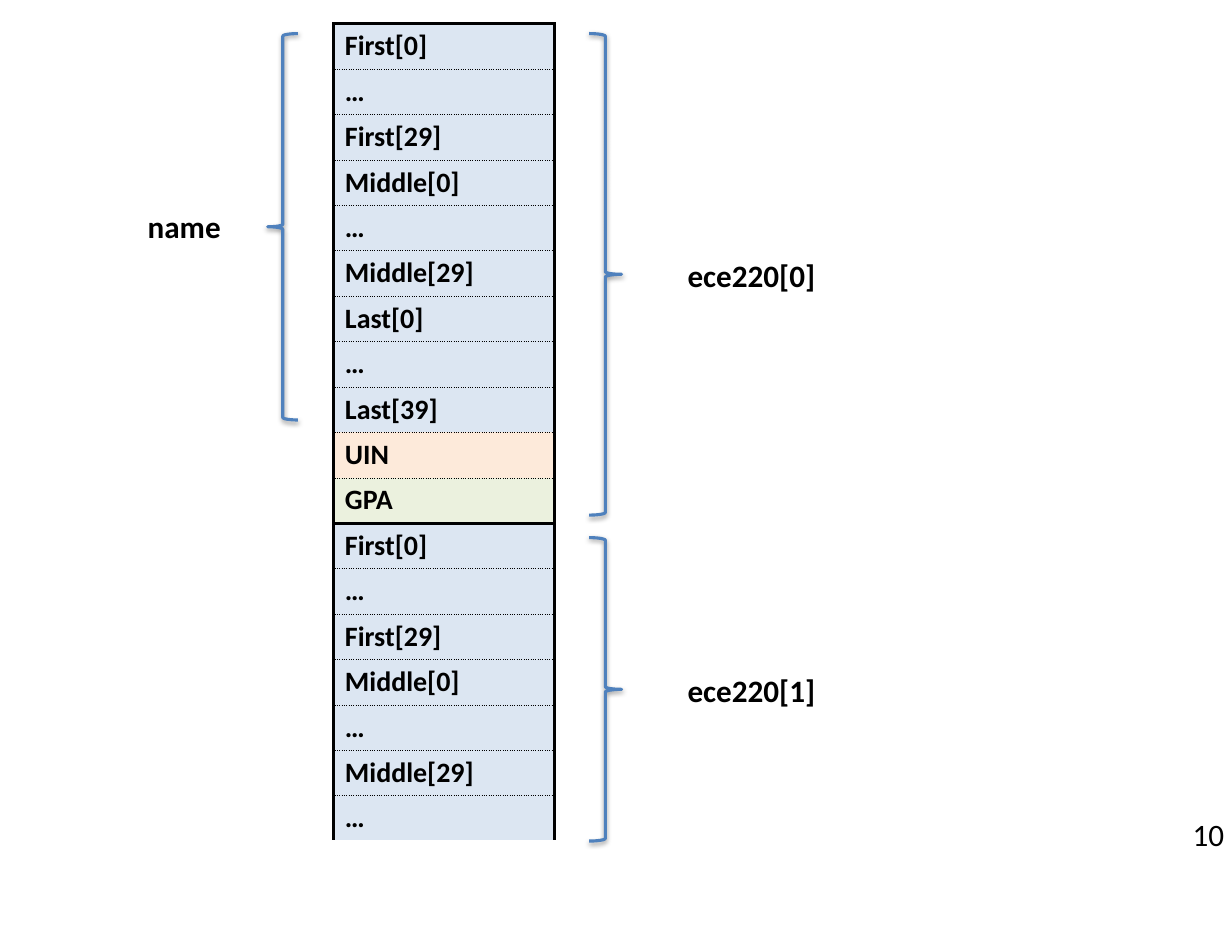
from lxml.etree import SubElement
from pptx import Presentation
from pptx.dml.color import RGBColor
from pptx.enum.shapes import MSO_SHAPE as Shape
from pptx.enum.text import MSO_ANCHOR as Anchor, MSO_AUTO_SIZE as AutoSize
from pptx.oxml import parse_xml
from pptx.oxml.ns import nsdecls, qn
from pptx.util import Inches, Pt

BLACK = RGBColor(0x00, 0x00, 0x00)
BLUE = RGBColor(0x4F, 0x81, 0xBD)
NAME_FILL = RGBColor(0xDC, 0xE6, 0xF2)
UIN_FILL = RGBColor(0xFD, 0xEA, 0xDA)
GPA_FILL = RGBColor(0xEB, 0xF1, 0xDE)
FIELD_FILLS = {"UIN": UIN_FILL, "GPA": GPA_FILL}
FONT = "Calibri"

RECORD = ["First[0]", "…", "First[29]", "Middle[0]", "…", "Middle[29]",
          "Last[0]", "…", "Last[39]", "UIN", "GPA"]
MEMORY = RECORD + RECORD[:6] + ["…"]


def format_text(text_frame, size, bold):
    for run in text_frame.paragraphs[0].runs:
        run.font.name = FONT
        run.font.size = Pt(size)
        run.font.bold = bold
        run.font.color.rgb = BLACK


def set_borders(cell, top, bottom):
    properties = cell._tc.get_or_add_tcPr()
    borders = [("L", "solid"), ("R", "solid"), ("T", top), ("B", bottom)]
    for index, (side, dash) in enumerate(borders):
        if dash is None:
            continue
        width = Pt(2.25) if dash == "solid" else Pt(0.25)
        properties.insert(index, parse_xml(
            f'<a:ln{side} {nsdecls("a")} w="{width}"><a:solidFill>'
            f'<a:srgbClr val="{BLACK}"/></a:solidFill>'
            f'<a:prstDash val="{dash}"/></a:ln{side}>'))


def add_memory_table(slide, left, top, width, height):
    count = len(MEMORY)
    frame = slide.shapes.add_table(count, 1, Inches(left), Inches(top),
                                   Inches(width), Inches(height))
    table = frame.table
    table.first_row = False
    table.horz_banding = False
    for index, field in enumerate(MEMORY):
        table.rows[index].height = Inches(height / count)
        cell = table.cell(index, 0)
        cell.text_frame.text = field
        format_text(cell.text_frame, 18, True)
        cell.fill.solid()
        cell.fill.fore_color.rgb = FIELD_FILLS.get(field, NAME_FILL)
        starts_record = index % len(RECORD) == 0
        ends_record = (index + 1) % len(RECORD) == 0
        bottom = "solid" if ends_record else "sysDot"
        set_borders(cell, "solid" if starts_record else "sysDot",
                    None if index == count - 1 else bottom)


def add_brace(slide, kind, left, top, width, height):
    brace = slide.shapes.add_shape(kind, Inches(left), Inches(top),
                                   Inches(width), Inches(height))
    brace.fill.background()
    brace.line.color.rgb = BLUE
    brace.line.width = Pt(2)
    brace.shadow.inherit = False
    effects = brace._element.spPr.find(qn("a:effectLst"))
    shadow = SubElement(effects, qn("a:outerShdw"), blurRad=str(Pt(3.1)),
                        dist=str(Pt(1.6)), dir="5400000", rotWithShape="0")
    color = SubElement(shadow, qn("a:srgbClr"), val=str(BLACK))
    SubElement(color, qn("a:alpha"), val="38000")


def add_label(slide, text, left, top, width, bold=True):
    label = slide.shapes.add_textbox(Inches(left), Inches(top),
                                     Inches(width), Inches(0.44))
    text_frame = label.text_frame
    text_frame.word_wrap = False
    text_frame.auto_size = AutoSize.SHAPE_TO_FIT_TEXT
    text_frame.vertical_anchor = Anchor.TOP
    text_frame.text = text
    format_text(text_frame, 20, bold)


def add_record(slide, text, top, height):
    add_brace(slide, Shape.RIGHT_BRACE, 5.26, top, 0.29, height)
    add_label(slide, text, 6.04, top + height / 2 - 0.21, 1.35)


def add_name_group(slide, left, top, height):
    add_brace(slide, Shape.LEFT_BRACE, left + 1.17, top, 0.27, height)
    add_label(slide, "name", left, top + height / 2 - 0.22, 0.86)


presentation = Presentation()
presentation.slide_width = Inches(11)
presentation.slide_height = Inches(8.5)
slide = presentation.slides.add_slide(presentation.slide_layouts[6])
add_memory_table(slide, 2.98, 0.21, 1.97, 7.3)
add_record(slide, "ece220[0]", 0.3, 4.3)
add_record(slide, "ece220[1]", 4.8, 2.71)
add_label(slide, "10", 10.55, 7.23, 0.49, bold=False)
add_name_group(slide, 1.22, 0.3, 3.45)
presentation.save("out.pptx")
